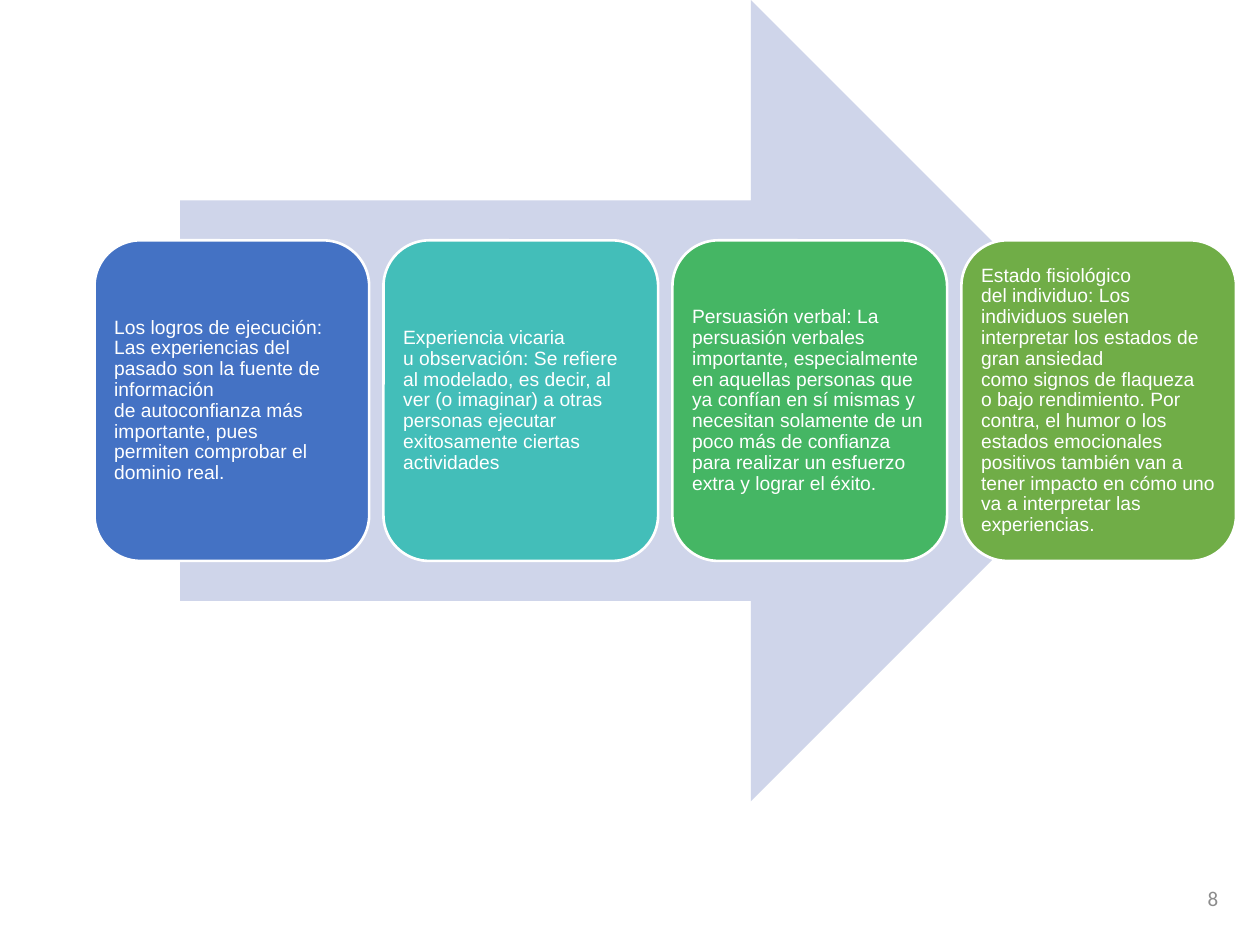
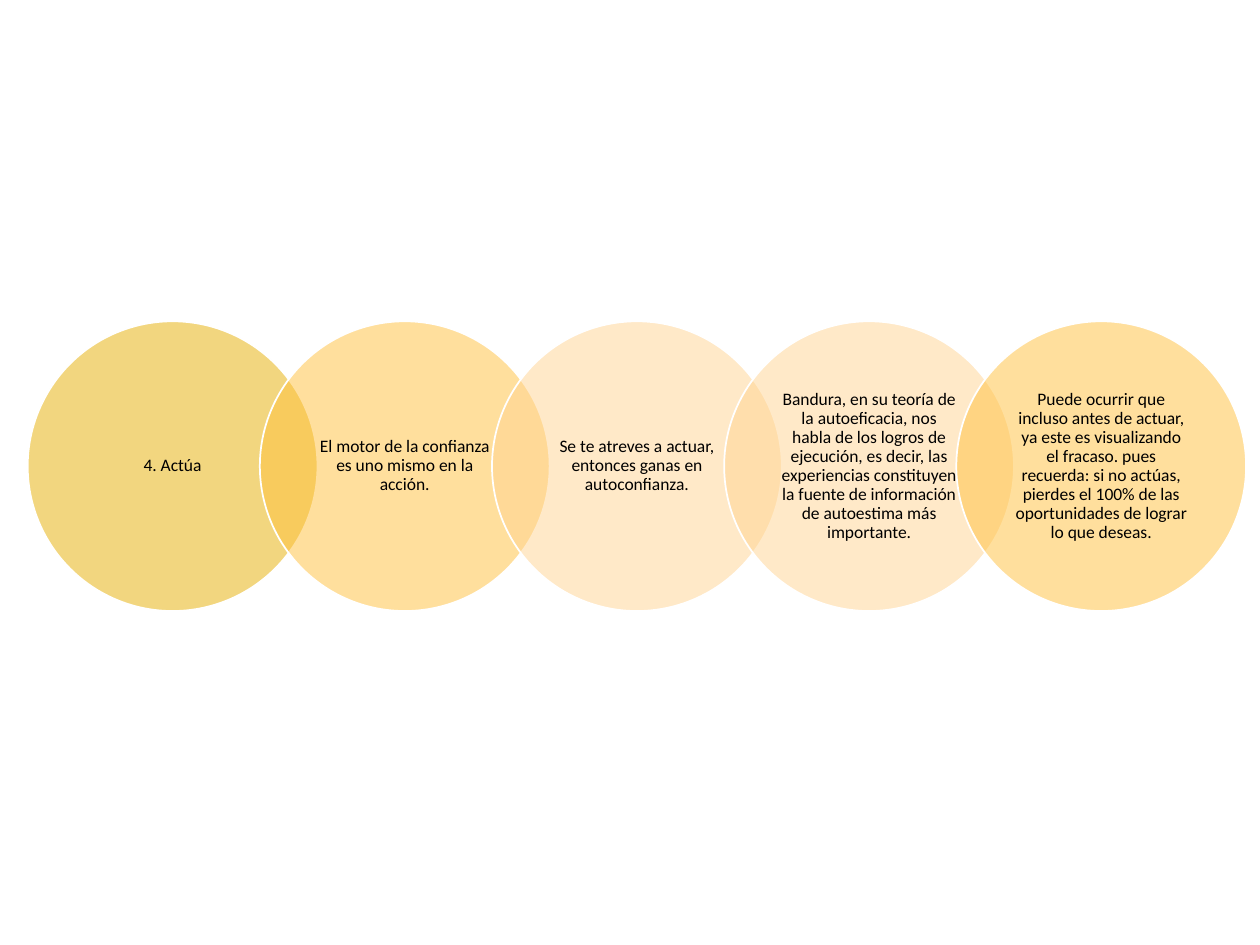
from lxml import etree
from pptx import Presentation
from pptx.dml.color import RGBColor
from pptx.enum.shapes import MSO_SHAPE
from pptx.enum.text import MSO_ANCHOR, PP_ALIGN
from pptx.oxml.ns import qn
from pptx.util import Inches, Pt

ARROW, CARD, CIRCLE = MSO_SHAPE.RIGHT_ARROW, MSO_SHAPE.ROUNDED_RECTANGLE, MSO_SHAPE.OVAL
LEFT, CENTER, RIGHT = PP_ALIGN.LEFT, PP_ALIGN.CENTER, PP_ALIGN.RIGHT
MIDDLE = MSO_ANCHOR.MIDDLE

COLORS = {
    "white": "FFFFFF", "black": "000000", "number": "8C8C8C", "arrow": "CFD5EA",
    "blue": "4472C4", "teal": "43BEB9", "green": "45B664", "olive": "70AD47",
    "gold": "E7AE00", "amber": "FFC13D", "peach": "FFD592",
}

# An underscore stands for a non-breaking space
NON_BREAKING_SPACE = chr(160)

SOURCES = [
    ("blue", "Los logros de_ejecución: Las experiencias del pasado son la_fuente de "
             "información de_autoconfianza más importante,_pues permiten_comprobar el "
             "dominio real."),
    ("teal", "Experiencia vicaria u_observación:_Se refiere al_modelado, es_decir, al "
             "ver_(o imaginar) a_otras personas_ejecutar exitosamente ciertas actividades"),
    ("green", "Persuasión_verbal:_La persuasión_verbales importante,_especialmente en "
              "aquellas personas_que ya confían en sí mismas y necesitan_solamente de un "
              "poco más de confianza para realizar un_esfuerzo extra y lograr el_éxito."),
    ("olive", "Estado fisiológico del_individuo:_Los individuos_suelen interpretar_los "
              "estados de gran_ansiedad como_signos de flaqueza o_bajo rendimiento._Por "
              "contra, el humor o los estados_emocionales positivos también van a tener "
              "impacto en cómo uno va a interpretar las experiencias."),
]

STEPS = [
    ("gold", "4. Actúa"),
    ("amber", "El motor de la confianza es uno mismo en la acción."),
    ("peach", "Se te atreves a actuar, entonces ganas en autoconfianza."),
    ("peach", "Bandura, en su teoría de la autoeficacia, nos habla de los logros de "
              "ejecución, es decir, las experiencias constituyen la fuente de información "
              "de autoestima más importante."),
    ("amber", "Puede ocurrir que incluso antes de actuar, ya este es visualizando el "
              "fracaso. pues recuerda: si no actúas, pierdes el 100% de las oportunidades "
              "de lograr lo que deseas."),
]


def rgb(color):
    return RGBColor.from_string(COLORS[color])


def add_filled(slide, kind, box, color, line_width=None, opacity=None):
    shape = slide.shapes.add_shape(kind, *map(Inches, box))
    shape.shadow.inherit = False
    shape.fill.solid()
    shape.fill.fore_color.rgb = rgb(color)
    if opacity is not None:
        fill_color = shape.fill._xPr.find(qn("a:solidFill"))[0]
        etree.SubElement(fill_color, qn("a:alpha"), val=str(opacity * 1000))
    if line_width:
        shape.line.color.rgb = rgb("white")
        shape.line.width = Pt(line_width)
    else:
        shape.line.fill.background()
    return shape


def write(shape, text, font, size, color, align, insets=(0, 0), spacing=None):
    frame = shape.text_frame
    frame.word_wrap = True
    frame.vertical_anchor = MIDDLE
    frame.margin_left = frame.margin_right = Inches(insets[0])
    frame.margin_top = frame.margin_bottom = Inches(insets[1])
    paragraph = frame.paragraphs[0]
    paragraph.alignment = align
    if spacing:
        paragraph.line_spacing = spacing
    run = paragraph.add_run()
    run.text = text.replace("_", NON_BREAKING_SPACE)
    run.font.name = font
    run.font.size = Pt(size)
    run.font.color.rgb = rgb(color)


def spread(box, count, item_width):
    """Boxes of equal width and step that fill the given box."""
    left, top, width, height = box
    step = (width - item_width) / (count - 1)
    return [(left + i * step, top, item_width, height) for i in range(count)]


def add_slide_number(slide, box, number):
    holder = slide.shapes.add_textbox(*map(Inches, box))
    write(holder, number, "Calibri", 12, "number", RIGHT)


def add_arrow_process(slide, box):
    left, top, width, height = box
    # Arrow behind the cards
    add_filled(slide, ARROW, (left + 0.68, top, width - 1.35, height), "arrow")
    # Cards: the middle two fifths of the height
    card_height = height * 0.4
    row = (left, top + (height - card_height) / 2, width, card_height)
    for card_box, (color, text) in zip(spread(row, len(SOURCES), 2.18), SOURCES):
        card = add_filled(slide, CARD, card_box, color, line_width=1.5)
        write(card, text, "Arial", 11, "white", LEFT, (0.05, 0.05), 0.9)


def add_linked_circles(slide, box):
    diameter = box[3]
    for circle_box, (color, text) in zip(spread(box, len(STEPS), diameter), STEPS):
        circle = add_filled(slide, CIRCLE, circle_box, color, line_width=1, opacity=50)
        write(circle, text, "Calibri", 10, "black", CENTER, (0.12, 0.01), 0.9)


def main():
    prs = Presentation()
    prs.slide_width, prs.slide_height = Inches(10), Inches(7.5)
    blank = prs.slide_layouts[6]

    # Sources of self-confidence
    sources_slide = prs.slides.add_slide(blank)
    add_slide_number(sources_slide, (9.51, 7.01, 0.16, 0.23), "8")
    add_arrow_process(sources_slide, (0.75, 0, 9.06, 6.36))

    # Step four: act
    action_slide = prs.slides.add_slide(blank)
    add_linked_circles(action_slide, (0.22, 2.55, 9.67, 2.3))

    prs.save("out.pptx")


if __name__ == "__main__":
    main()
